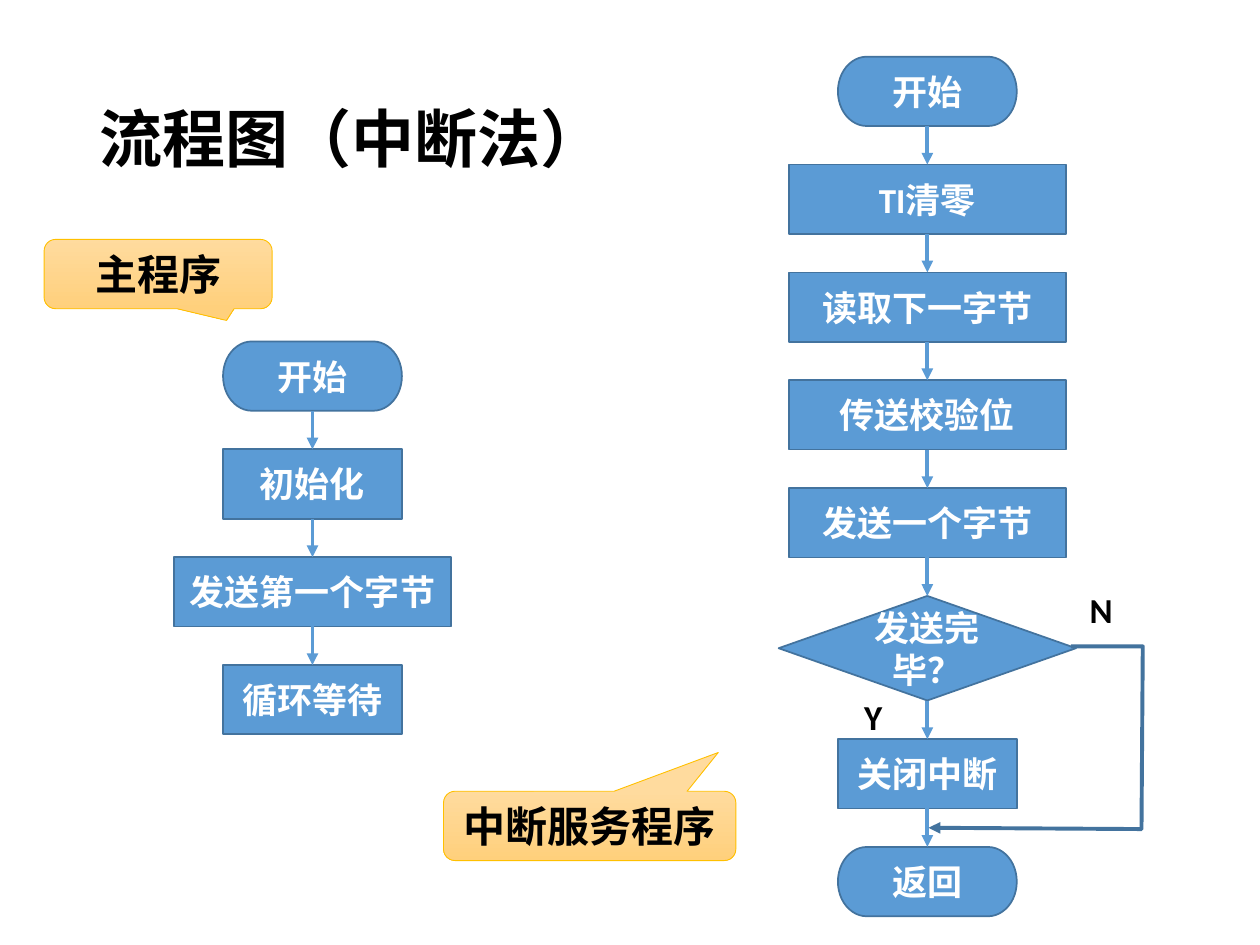
from lxml.etree import SubElement as Sub
from pptx import Presentation
from pptx.dml.color import RGBColor
from pptx.enum.shapes import MSO_CONNECTOR as Line, MSO_SHAPE as Kind
from pptx.enum.text import MSO_ANCHOR as Anchor, MSO_AUTO_SIZE as Auto, PP_ALIGN as Align
from pptx.oxml.ns import qn
from pptx.util import Inches, Pt

BLUE = RGBColor(0x5B, 0x9B, 0xD5)
NAVY = RGBColor(0x43, 0x73, 0x9E)
GOLD = RGBColor(0xFF, 0xC0, 0x00)
PALE = RGBColor(0xFF, 0xDB, 0x9E)
AMBER = RGBColor(0xFF, 0xD0, 0x7C)
BLACK = RGBColor(0, 0, 0)
WHITE = RGBColor(0xFF, 0xFF, 0xFF)

FONT = "Calibri"
HIGH = 0.55
GAP = 0.306
SMALL, WIDE = 1.42, 2.2
END, STEP, TEST = Kind.FLOWCHART_TERMINATOR, Kind.FLOWCHART_PROCESS, Kind.FLOWCHART_DECISION

MAIN = [
    (END, "开始", SMALL, HIGH),
    (STEP, "初始化", SMALL, HIGH),
    (STEP, "发送第一个字节", WIDE, HIGH),
    (STEP, "循环等待", SMALL, HIGH),
]
SERVE = [
    (END, "开始", SMALL, HIGH),
    (STEP, "TI清零", WIDE, HIGH),
    (STEP, "读取下一字节", WIDE, HIGH),
    (STEP, "传送校验位", WIDE, HIGH),
    (STEP, "发送一个字节", WIDE, HIGH),
    (TEST, "发送完毕？", 2.36, 0.83),
    (STEP, "关闭中断", SMALL, HIGH),
    (END, "返回", SMALL, HIGH),
]


def write(shape, text, size, color, align):
    frame = shape.text_frame
    frame.text = text
    para = frame.paragraphs[0]
    para.alignment = align
    font = para.runs[0].font
    font.name, font.size, font.bold = FONT, Pt(size), True
    font.color.rgb = color
    return frame


def add_title(slide, text):
    title = slide.shapes.title
    title.left, title.top = Inches(0.69), Inches(0.4)
    title.width, title.height = Inches(8.62), Inches(1.45)
    frame = write(title, text, 36, BLACK, Align.LEFT)
    frame.vertical_anchor = Anchor.MIDDLE
    frame.paragraphs[0].line_spacing = 0.9


def add_node(slide, kind, text, mid, top, wide, high):
    node = slide.shapes.add_shape(
        kind, Inches(mid - wide / 2), Inches(top), Inches(wide), Inches(high))
    node.shadow.inherit = False
    node.fill.solid()
    node.fill.fore_color.rgb = BLUE
    node.line.color.rgb = NAVY
    node.line.width = Pt(1)
    write(node, text, 20, WHITE, Align.CENTER).vertical_anchor = Anchor.MIDDLE
    return node


def add_head(shape, color):
    shape.line.color.rgb = color
    shape.line.width = Pt(2.25)
    Sub(shape.line._get_or_add_ln(), qn("a:tailEnd"), type="triangle")


def add_arrow(slide, start, stop):
    arrow = slide.shapes.add_connector(Line.STRAIGHT, 0, 0, 0, 0)
    arrow.begin_connect(start, 2)
    arrow.end_connect(stop, 0)
    add_head(arrow, BLUE)
    Sub(arrow._element.spPr, qn("a:effectLst"))


def add_flow(slide, mid, top, steps):
    last = None
    for kind, text, wide, high in steps:
        node = add_node(slide, kind, text, mid, top, wide, high)
        if last is not None:
            add_arrow(slide, last, node)
        last = node
        top += high + GAP


def add_bypass(slide, points):
    spots = [(Inches(x), Inches(y)) for x, y in points]
    pen = slide.shapes.build_freeform(*spots[0])
    pen.add_line_segments(spots[1:], close=False)
    route = pen.convert_to_shape()
    route.shadow.inherit = False
    route.fill.background()
    add_head(route, NAVY)


def add_label(slide, text, left, top):
    label = slide.shapes.add_textbox(
        Inches(left), Inches(top), Inches(0.31), Inches(0.44))
    frame = write(label, text, 20, BLACK, Align.LEFT)
    frame.word_wrap = False
    frame.auto_size = Auto.SHAPE_TO_FIT_TEXT


def add_callout(slide, text, left, top, wide, tip):
    call = slide.shapes.add_shape(
        Kind.ROUNDED_RECTANGULAR_CALLOUT,
        Inches(left), Inches(top), Inches(wide), Inches(HIGH))
    call.adjustments[0], call.adjustments[1] = tip
    call.shadow.inherit = False
    call.fill.gradient()
    call.fill.gradient_angle = 270
    for stop, color in zip(call.fill.gradient_stops, (PALE, AMBER)):
        stop.color.rgb = color
    call.line.color.rgb = GOLD
    call.line.width = Pt(0.5)
    write(call, text, 24, BLACK, Align.CENTER).vertical_anchor = Anchor.MIDDLE


def main():
    deck = Presentation()
    deck.slide_width, deck.slide_height = Inches(10), Inches(7.5)
    slide = deck.slides.add_slide(deck.slide_layouts[5])
    add_title(slide, "流程图（中断法）")
    add_flow(slide, 2.48, 2.71, MAIN)
    add_flow(slide, 7.36, 0.45, SERVE)
    add_bypass(slide, [(8.5, 5.13), (9.07, 5.13), (9.06, 6.58), (7.37, 6.57)])
    add_label(slide, "Y", 6.76, 5.47)
    add_label(slide, "N", 8.55, 4.62)
    add_callout(slide, "主程序", 0.35, 1.9, 1.81, (0.3, 0.67))
    add_callout(slide, "中断服务程序", 3.52, 6.28, 2.32, (0.44, -1.06))
    deck.save("out.pptx")


if __name__ == "__main__":
    main()
